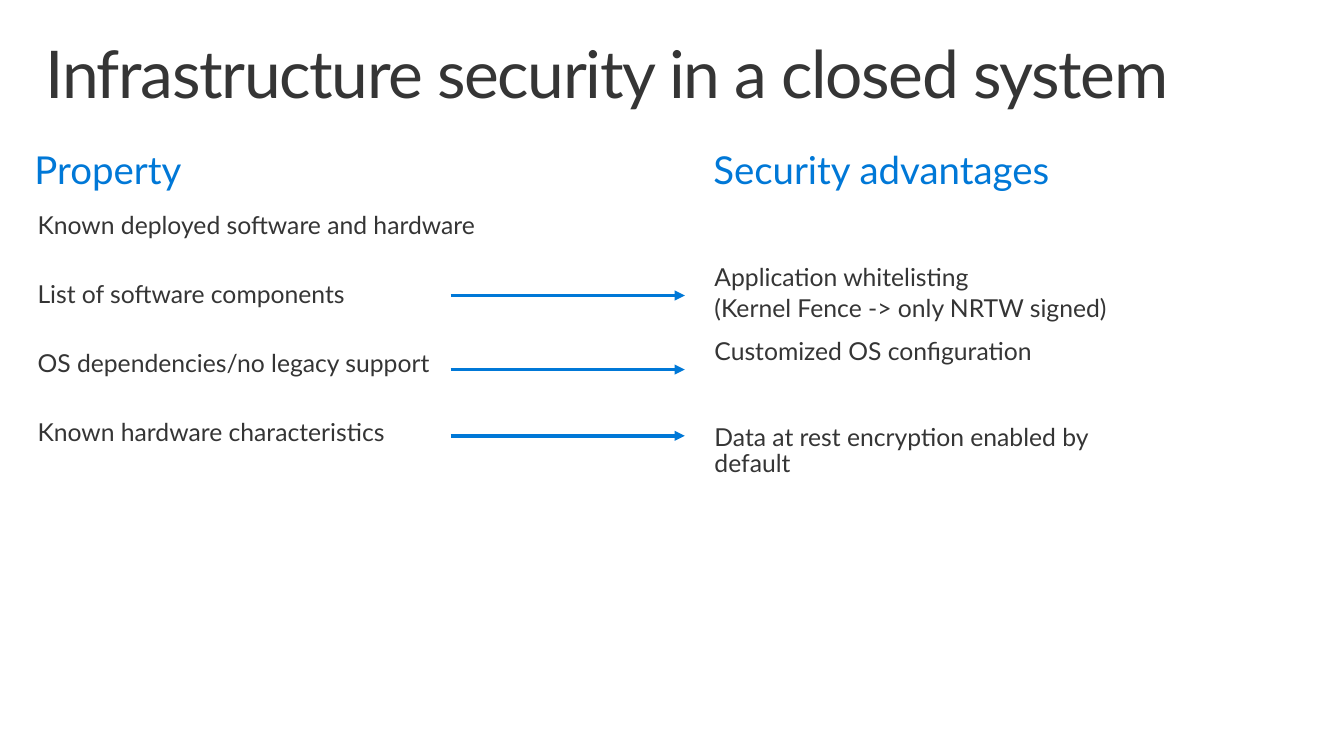
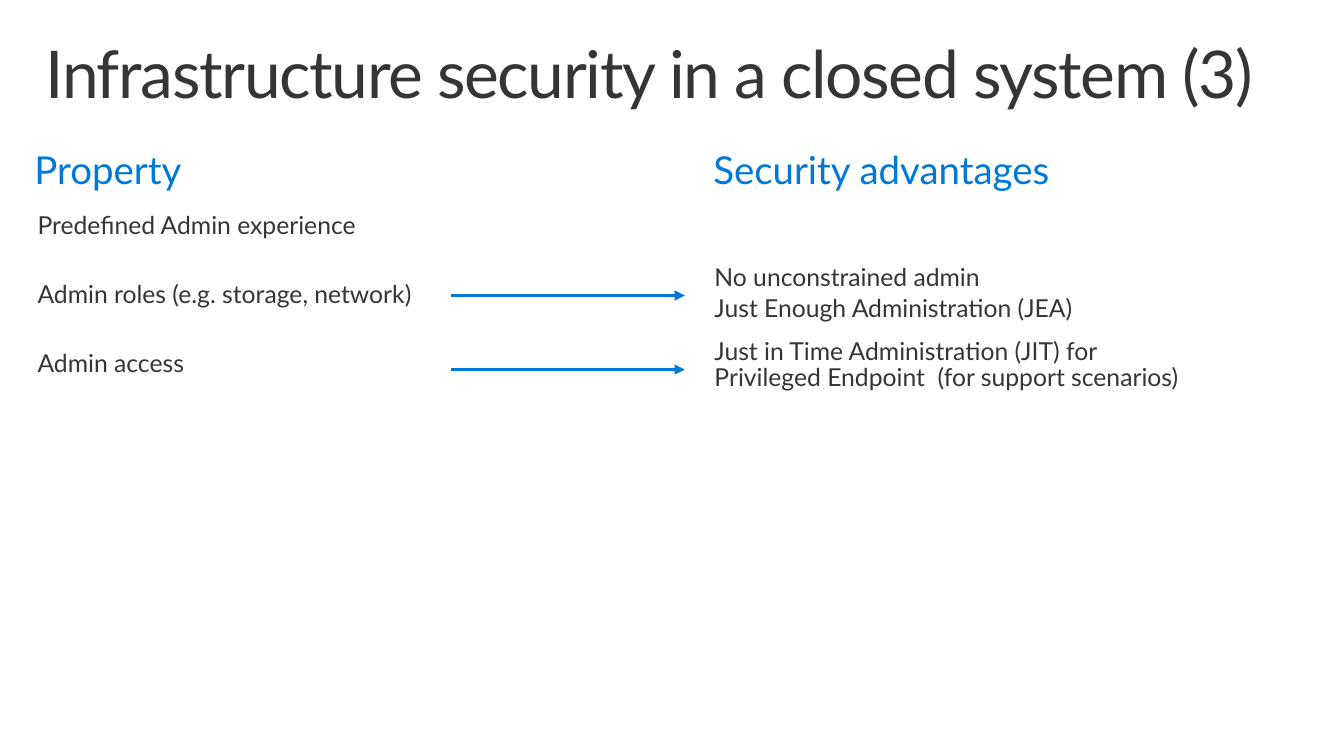
from dataclasses import dataclass

from lxml.etree import SubElement
from pptx import Presentation
from pptx.dml.color import RGBColor
from pptx.enum.shapes import MSO_CONNECTOR
from pptx.enum.text import MSO_ANCHOR, MSO_AUTO_SIZE
from pptx.oxml.ns import qn
from pptx.util import Inches, Pt


@dataclass(frozen=True)
class Theme:
    """Colours, font and type sizes of the deck."""
    ink: RGBColor = RGBColor(0x35, 0x35, 0x35)
    accent: RGBColor = RGBColor(0x00, 0x78, 0xD7)
    paper: RGBColor = RGBColor(0xFF, 0xFF, 0xFF)
    font: str = "Lato"
    title: float = 48
    heading: float = 28
    body: float = 18
    arrow: float = 2.5


ADVANTAGE_ROWS = [(2.63, 0.71, 4.92), (3.38, 0.37, 5.17), (4.25, 0.37, 4.92)]
ARROW_ROWS = [2.99, 3.74, 4.41]
SLIDES = [
    {
        "title": "Infrastructure security in a closed system",
        "properties": [
            "Known deployed software and hardware",
            "List of software components",
            "OS dependencies/no legacy support",
            "Known hardware characteristics",
        ],
        "advantages": [
            ["Application whitelisting", "(Kernel Fence -> only NRTW signed)"],
            ["Customized OS configuration"],
            ["Data at rest encryption enabled by default"],
        ],
    },
    {
        "title": "Infrastructure security in a closed system (3)",
        "properties": [
            "Predefined Admin experience",
            "Admin roles (e.g. storage, network)",
            "Admin access",
        ],
        "advantages": [
            ["No unconstrained admin", "Just Enough Administration (JEA)"],
            ["Just in Time Administration (JIT) for Privileged Endpoint  (for support scenarios)"],
        ],
    },
]


class Deck:
    """Holds the style and the current slide."""

    def __init__(self, theme):
        """Start an empty deck."""
        self.theme = theme
        self.presentation = Presentation()
        self.presentation.slide_width = Inches(13.6)
        self.presentation.slide_height = Inches(7.65)
        self.slide = None

    def add_slide(self):
        """Add a blank slide and make it current."""
        self.slide = self.presentation.slides.add_slide(self.presentation.slide_layouts[6])
        background = self.slide.background.fill
        background.solid()
        background.fore_color.rgb = self.theme.paper

    def text(self, lines, place, size, color, inset=(0.1, 0.05), spacing=0.9, gap=0):
        """Add a text box with one paragraph per line."""
        frame = self.slide.shapes.add_textbox(*map(Inches, place)).text_frame
        left, top = map(Inches, inset)
        frame_format = {
            "word_wrap": True,
            "auto_size": MSO_AUTO_SIZE.NONE,
            "vertical_anchor": MSO_ANCHOR.TOP,
            "margin_left": left,
            "margin_top": top,
            "margin_bottom": top,
        }
        for name, value in frame_format.items():
            setattr(frame, name, value)
        font_format = {"name": self.theme.font, "size": Pt(size)}
        for index, line in enumerate(lines):
            paragraph = frame.paragraphs[0] if index == 0 else frame.add_paragraph()
            paragraph.line_spacing = spacing
            paragraph.space_before = Pt(gap if index else 0)
            run = paragraph.add_run()
            run.text = line
            for name, value in font_format.items():
                setattr(run.font, name, value)
            run.font.color.rgb = color
        return frame

    def title(self, wording):
        """Add the slide title with tightened letters."""
        frame = self.text([wording], (0.3, 0.32, 13, 1), self.theme.title,
                          self.theme.ink, inset=(0.16, 0.1))
        frame.paragraphs[0].runs[0].font._element.set("spc", "-100")

    def heading(self, wording, left):
        """Add a column heading."""
        self.text([wording], (left, 1.48, 5.75, 0.63), self.theme.heading, self.theme.accent)

    def properties(self, lines):
        """Add the left column as evenly spaced lines."""
        self.text(lines, (0, 2.02, 5.72, 0.7 * len(lines)), self.theme.body,
                  self.theme.ink, inset=(0.38, 0.1), spacing=1.0, gap=28.8)

    def advantage(self, lines, row):
        """Add one entry of the right column."""
        top, height, width = row
        self.text(lines, (6.88, top, width, height), self.theme.body,
                  self.theme.ink, inset=(0.35, 0.05), gap=3.6)

    def arrow(self, y):
        """Add an arrow from a property to its advantage."""
        arrow = self.slide.shapes.add_connector(
            MSO_CONNECTOR.STRAIGHT, Inches(4.56), Inches(y), Inches(6.93), Inches(y))
        arrow.line.color.rgb = self.theme.accent
        arrow.line.width = Pt(self.theme.arrow)
        SubElement(arrow.line._get_or_add_ln(), qn("a:tailEnd"), type="triangle")
        SubElement(arrow._element.spPr, qn("a:effectLst"))


def main():
    """Build and save the deck."""
    deck = Deck(Theme())
    for content in SLIDES:
        deck.add_slide()
        deck.title(content["title"])
        deck.heading("Property", 0.25)
        deck.heading("Security advantages", 7.12)
        deck.properties(content["properties"])
        for lines, row, y in zip(content["advantages"], ADVANTAGE_ROWS, ARROW_ROWS):
            deck.advantage(lines, row)
            deck.arrow(y)
    deck.presentation.save("out.pptx")


if __name__ == "__main__":
    main()
